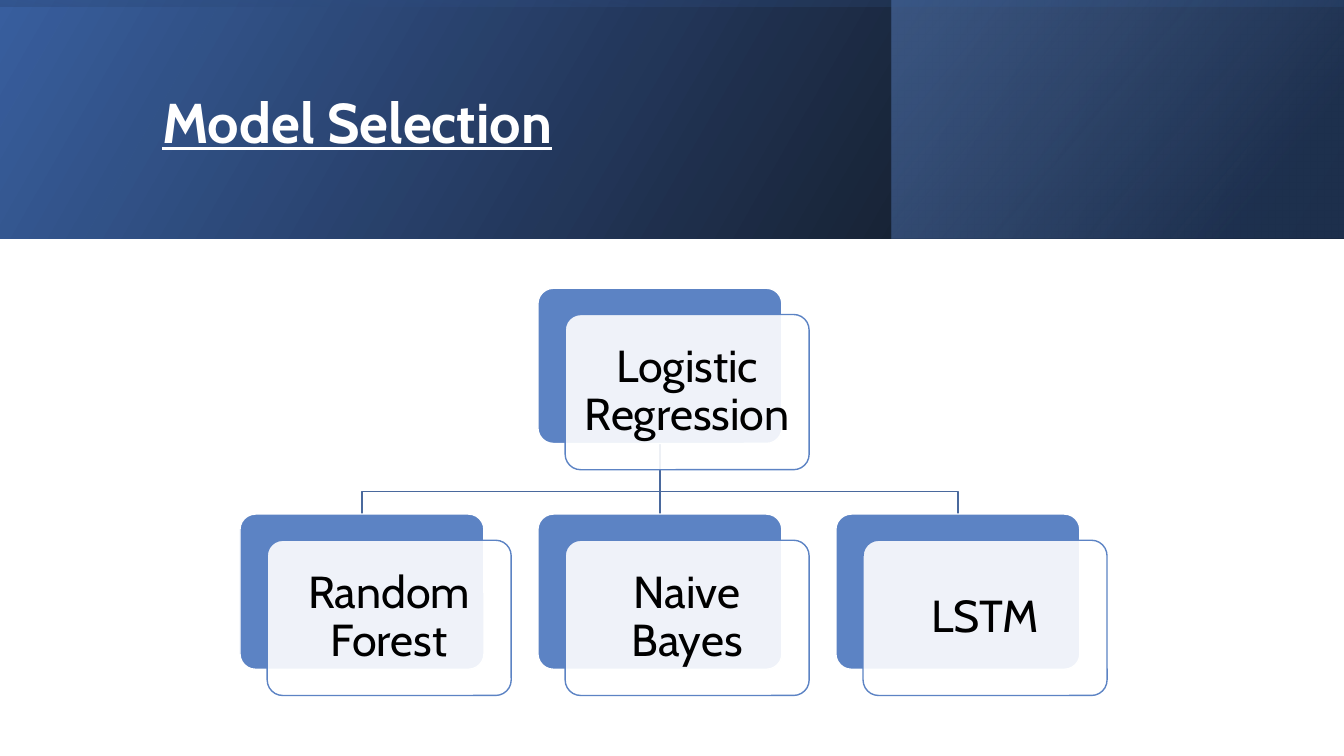
from lxml import etree
from pptx import Presentation
from pptx import util as u
from pptx.dml.color import RGBColor
from pptx.enum import shapes, text
from pptx.oxml.ns import qn

COLUMNS, ROWS = 13.33, 7.5
FONT = "Cabin"
COLORS = {"white": "FFFFFF", "black": "000000", "blue": "5C83C4",
          "deep": "395F9F", "navy": "26406A", "link": "4A699D"}
NODE_WIDTH, NODE_HEIGHT = 2.42, 1.54
OFFSET_X, OFFSET_Y = 0.27, 0.26
TEXT_INSET = 0.05
BEND = 0.68


def rgb(name):
    """Return the named colour."""
    return RGBColor.from_string(COLORS[name])


def add_color(parent, name, alpha):
    """Add a colour with its opacity in percent to an XML parent."""
    color = etree.SubElement(parent, qn("a:srgbClr"), val=COLORS[name])
    etree.SubElement(color, qn("a:alpha"), val=str(alpha * 1000))


def add_block(slide, kind, box):
    """Add a preset shape without shadow in a box of grid units."""
    shape = slide.shapes.add_shape(kind, *map(u.Inches, box))
    shape.shadow.inherit = False
    return shape


def add_gradient(slide, box, stops, angle, rotation=0):
    """Add a mirrored rectangle with a translucent gradient."""
    shape = add_block(slide, shapes.MSO_SHAPE.RECTANGLE, box)
    shape.rotation = rotation
    shape.line.fill.background()
    properties = shape.element.spPr
    properties.find(qn("a:xfrm")).set("flipH", "1")
    gradient = etree.Element(qn("a:gradFill"), rotWithShape="1")
    stop_list = etree.SubElement(gradient, qn("a:gsLst"))
    for position, name, alpha in stops:
        stop = etree.SubElement(stop_list, qn("a:gs"), pos=str(position * 1000))
        add_color(stop, name, alpha)
    etree.SubElement(gradient, qn("a:lin"), ang=str(angle * 60000), scaled="0")
    properties.find(qn("a:prstGeom")).addnext(gradient)


def add_label(slide, box, words, size, color, margin):
    """Add a wrapped, vertically centred text box and return its paragraph and run."""
    frame = slide.shapes.add_textbox(*map(u.Inches, box)).text_frame
    frame.word_wrap = True
    frame.vertical_anchor = text.MSO_ANCHOR.MIDDLE
    frame.margin_left = frame.margin_right = u.Inches(margin[0])
    frame.margin_top = frame.margin_bottom = u.Inches(margin[1])
    paragraph = frame.paragraphs[0]
    paragraph.line_spacing = 0.9
    run = paragraph.add_run()
    run.text = words
    run.font.name = FONT
    run.font.size = u.Pt(size)
    run.font.color.rgb = rgb(color)
    return paragraph, run


def add_header(slide, box, title):
    """Layer the gradients of the header band and set its title."""
    left, top, width, height = box
    add_gradient(slide, box, [(0, "black", 96), (100, "deep", 100)], 330)
    panel = 4.49
    add_gradient(slide, (left + width - panel, top, panel, height),
                 [(19, "navy", 68), (100, "blue", 48)], 320)
    turned = (left + (width - height) / 2, top + (height - width) / 2, height, width)
    add_gradient(slide, turned, [(23, "deep", 16), (99, "black", 45)], 350, 270)
    title_box = (left + 1.51, top + 0.38, 10.63, 1.72)
    run = add_label(slide, title_box, title, 40, "white", (0.1, 0.05))[1]
    run.font.bold = run.font.underline = True


def add_node(slide, left, top, words):
    """Add a solid card, a translucent card in front of it and a label."""
    front = left + OFFSET_X, top + OFFSET_Y
    for corner, fill, line in (((left, top), "blue", "white"), (front, "white", "blue")):
        card = add_block(slide, shapes.MSO_SHAPE.ROUNDED_RECTANGLE,
                         (*corner, NODE_WIDTH, NODE_HEIGHT))
        card.adjustments[0] = 0.1
        card.fill.solid()
        card.fill.fore_color.rgb = rgb(fill)
        card.line.color.rgb = rgb(line)
        card.line.width = u.Pt(1)
    color = card.element.spPr.find(qn("a:solidFill")).find(qn("a:srgbClr"))
    etree.SubElement(color, qn("a:alpha"), val="90000")
    label_box = (front[0] + TEXT_INSET, front[1] + TEXT_INSET,
                 NODE_WIDTH - 2 * TEXT_INSET, NODE_HEIGHT - 2 * TEXT_INSET)
    paragraph = add_label(slide, label_box, words, 32, "black", (0.13, 0.13))[0]
    paragraph.alignment = text.PP_ALIGN.CENTER


def add_link(slide, start, end):
    """Join a parent to a child, with a bend where they are not aligned."""
    if abs(start[0] - end[0]) < 0.01:
        link = slide.shapes.add_connector(shapes.MSO_CONNECTOR.STRAIGHT,
                                          *map(u.Inches, (*start, *end)))
        etree.SubElement(link.element.spPr, qn("a:effectLst"))
    else:
        bend = start[1] + (end[1] - start[1]) * BEND
        corners = [start, (start[0], bend), (end[0], bend), end]
        first, *others = [(u.Inches(x), u.Inches(y)) for x, y in corners]
        builder = slide.shapes.build_freeform(*first)
        builder.add_line_segments(others, close=False)
        link = builder.convert_to_shape()
        link.shadow.inherit = False
        link.fill.background()
    link.line.color.rgb = rgb("link")
    link.line.width = u.Pt(1)


def add_tree(slide, box, parent, children):
    """Place the parent over an evenly spaced row of children."""
    left, top, width, height = box
    pitch = (width - NODE_WIDTH - OFFSET_X) / (len(children) - 1)
    lefts = [left + index * pitch for index in range(len(children))]
    parent_left = (lefts[0] + lefts[-1]) / 2
    row_top = top + height - NODE_HEIGHT - OFFSET_Y
    start = parent_left + NODE_WIDTH / 2, top + NODE_HEIGHT
    for child_left in reversed(lefts):
        add_link(slide, start, (child_left + NODE_WIDTH / 2, row_top))
    add_node(slide, parent_left, top, parent)
    for child_left, child in zip(lefts, children):
        add_node(slide, child_left, row_top, child)


def main():
    """Build and save the model selection slide."""
    presentation = Presentation()
    presentation.slide_width = u.Inches(COLUMNS)
    presentation.slide_height = u.Inches(ROWS)
    slide = presentation.slides.add_slide(presentation.slide_layouts[6])
    add_header(slide, (0, 0, COLUMNS, 2.37), "Model Selection")
    add_tree(slide, (2.38, 2.86, 8.6, 4.04), "Logistic Regression",
             ["Random Forest", "Naive Bayes", "LSTM"])
    presentation.save("out.pptx")


if __name__ == "__main__":
    main()
